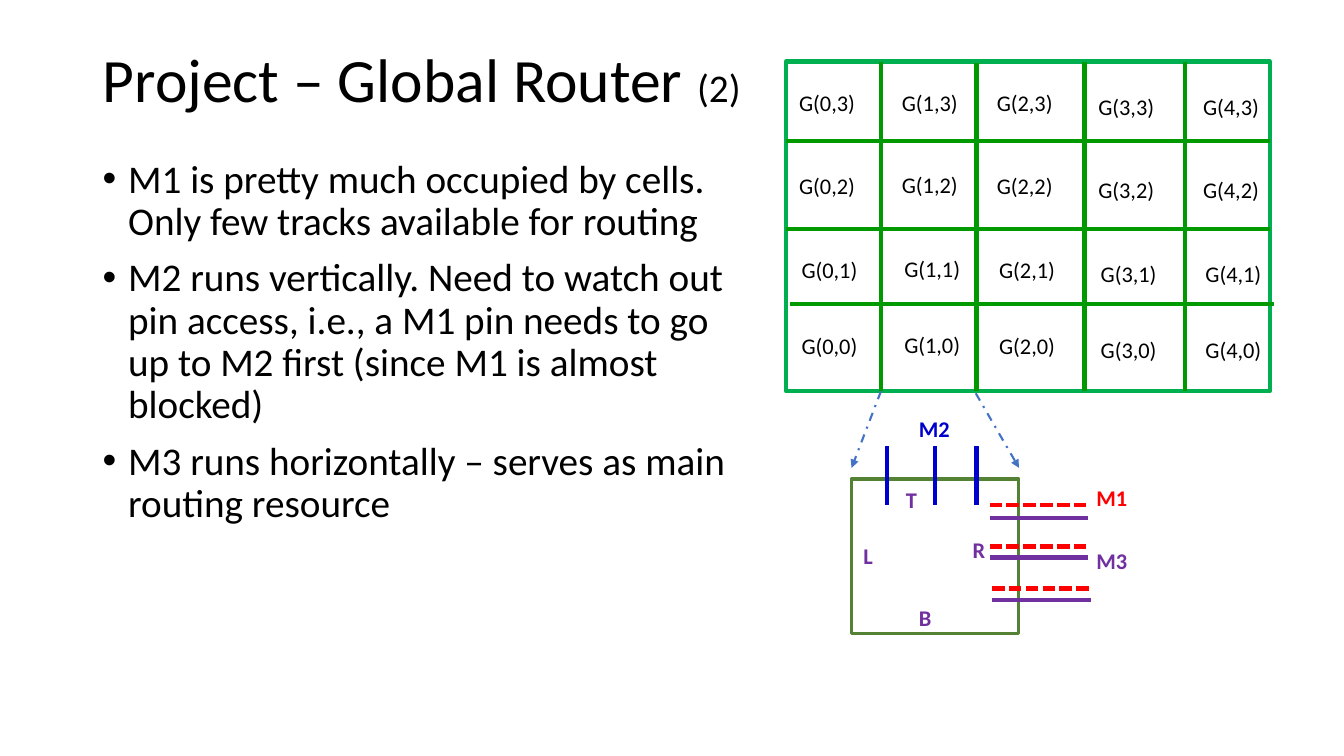
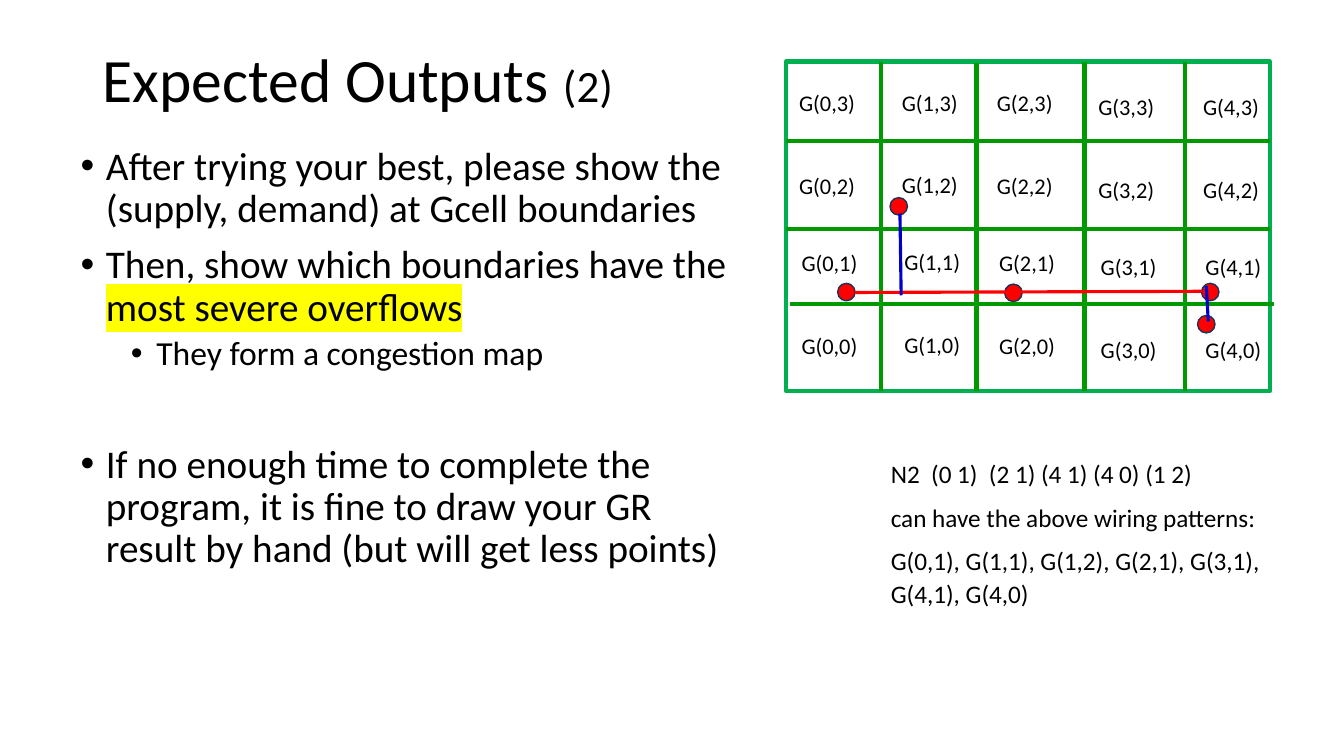
import dataclasses

import pptx
import pptx.util
import pptx.dml.color
import pptx.enum.dml
import pptx.enum.shapes
import pptx.enum.text
import pptx.oxml
import pptx.oxml.ns

Cm = pptx.util.Cm
Pt = pptx.util.Pt
Dash = pptx.enum.dml.MSO_LINE
Form = pptx.enum.shapes.MSO_SHAPE
Fit = pptx.enum.text.MSO_AUTO_SIZE
Anchor = pptx.enum.text.MSO_ANCHOR


@dataclasses.dataclass(frozen=True)
class Theme:
    font: str = "Calibri"
    black: str = "000000"
    frame: str = "00B050"
    grid: str = "009900"
    cell: str = "548235"
    red: str = "FF0000"
    blue: str = "0000CC"
    violet: str = "7030A0"
    arrow: str = "4472C4"
    rim: str = "1E3256"
    mark: str = "FFFF00"
    title: int = 44
    body: int = 28
    sub: int = 24
    note: int = 18
    label: int = 16
    thick: float = 3
    wire: float = 2.25
    thin: float = 1.5
    hair: float = 1


LOOK = Theme()


def apply(target, values):
    for name, value in values.items():
        setattr(target, name, value)


def paint(part, tint):
    part.rgb = pptx.dml.color.RGBColor.from_string(tint)


def add_xml(parent, tag, **values):
    node = pptx.oxml.parse_xml(f"<a:{tag} {pptx.oxml.ns.nsdecls('a')}/>")
    for name, value in values.items():
        node.set(name, str(value))
    parent.append(node)
    return node


def add_run(para, text, size, tint=LOOK.black, bold=False, mark=None):
    run = para.add_run()
    run.text = text
    apply(run.font, {"name": LOOK.font, "size": Pt(size), "bold": bold})
    paint(run.font.color, tint)
    if mark:
        props = run.font._element
        light = add_xml(props, "highlight")
        add_xml(light, "srgbClr", val=mark)
        props.find(pptx.oxml.ns.qn("a:solidFill")).addnext(light)


def add_box(slide, left, top, width, height, **style):
    box = slide.shapes.add_textbox(Cm(left), Cm(top), Cm(width), Cm(height))
    frame = box.text_frame
    apply(frame, {"word_wrap": True, **style})
    return frame


def add_para(frame, first, **style):
    para = frame.paragraphs[0] if first else frame.add_paragraph()
    apply(para, style)
    return para


def add_label(slide, text, left, top, width=1.96, **style):
    frame = add_box(slide, left, top, width, 0.94, auto_size=Fit.SHAPE_TO_FIT_TEXT)
    add_run(frame.paragraphs[0], text, LOOK.label, **style)


def add_list(slide, left, top, width, height, items):
    frame = add_box(slide, left, top, width, height)
    for index, (level, gap, runs) in enumerate(items):
        para = add_para(frame, index == 0, level=level, line_spacing=0.9,
                        space_before=Pt(gap))
        props = para._p.get_or_add_pPr()
        props.set("marL", str(Cm(0.64 + 1.27 * level)))
        props.set("indent", str(-Cm(0.64)))
        add_xml(props, "buFont", typeface="Arial")
        add_xml(props, "buChar", char="•")
        for text, mark in runs:
            add_run(para, text, LOOK.sub if level else LOOK.body, mark=mark)


def add_shape(slide, form, left, top, width, height, tint, weight, fill=None):
    shape = slide.shapes.add_shape(form, Cm(left), Cm(top), Cm(width), Cm(height))
    shape.shadow.inherit = False
    if fill:
        shape.fill.solid()
        paint(shape.fill.fore_color, fill)
    else:
        shape.fill.background()
    paint(shape.line.color, tint)
    shape.line.width = Pt(weight)


def add_line(slide, start, end, tint, weight=LOOK.thick, dash=None, tip=False):
    kind = pptx.enum.shapes.MSO_CONNECTOR.STRAIGHT
    line = slide.shapes.add_connector(kind, *map(Cm, start + end))
    paint(line.line.color, tint)
    apply(line.line, {"width": Pt(weight), "dash_style": dash})
    if tip:
        add_xml(line.line._ln, "tailEnd", type="triangle")
    add_xml(line._element.spPr, "effectLst")


def add_dot(slide, left, top):
    add_shape(slide, Form.OVAL, left, top, 0.44, 0.44, LOOK.rim, LOOK.hair, LOOK.red)


def add_grid(slide, drops):
    left, top, right, base = 19.81, 1.55, 32, 9.86
    add_shape(slide, Form.RECTANGLE, left, top, right - left, base - top,
              LOOK.frame, LOOK.thick)
    for y, shift in ((3.56, 0), (5.77, 0), (7.67, 0.11)):
        add_line(slide, (left + shift, y), (right + shift, y), LOOK.grid)
    for x, shift in ((22.2, 0), (24.61, 0.05), (27.33, 0), (29.87, 0)):
        add_line(slide, (x, top + shift), (x, base), LOOK.grid)
    cols = ((19.89, 0), (22.48, -0.02), (24.87, 0), (27.43, 0.1), (30.07, 0.1))
    for row, drop in enumerate(drops):
        for col, (x, shift) in enumerate(cols):
            nudge = 0.06 if row < 2 else 0
            add_label(slide, f"G({col},{row})", x + nudge, drop + shift)


def add_slide(deck, title, size, drops):
    slide = deck.slides.add_slide(deck.slide_layouts[6])
    frame = add_box(slide, 2.34, 1.02, 29.2, 2.12, vertical_anchor=Anchor.MIDDLE)
    para = add_para(frame, True, line_spacing=0.9)
    add_run(para, title, LOOK.title)
    add_run(para, "(2)", size)
    add_grid(slide, drops)
    return slide


def add_cell(slide):
    add_shape(slide, Form.RECTANGLE, 21.46, 12.07, 4.22, 3.89, LOOK.cell, LOOK.wire)
    for x, solid, dashed in ((24.94, 13.06, 12.73), (24.94, 14.05, 13.77),
                             (25, 15.11, 14.83)):
        add_line(slide, (x, solid), (x + 2.49, solid), LOOK.violet)
        add_line(slide, (x, dashed), (x + 2.49, dashed), LOOK.red,
                 dash=Dash.SQUARE_DOT)
    for start, end in (((22.2, 9.86), (21.46, 11.79)), ((24.59, 9.91), (25.68, 11.79))):
        add_line(slide, start, end, LOOK.arrow, LOOK.thin, Dash.DASH_DOT, True)
    for x in (22.35, 23.57, 24.61):
        add_line(slide, (x, 12.73), (x, 11.23), LOOK.blue)
    for text, left, top, width, tint in (
        ("M1", 27.38, 12.07, 1.52, LOOK.red),
        ("M3", 27.38, 13.67, 1.52, LOOK.violet),
        ("M2", 22.91, 10.34, 1.52, LOOK.blue),
        ("L", 21.51, 13.54, 0.54, LOOK.violet),
        ("B", 22.91, 15.11, 0.54, LOOK.violet),
        ("R", 24.26, 13.39, 0.81, LOOK.violet),
        ("T", 22.58, 12.12, 0.54, LOOK.violet),
    ):
        add_label(slide, text, left, top, width, tint=tint, bold=True)


def add_net(slide):
    for left, top in ((21.11, 7.14), (25.32, 7.16), (30.28, 7.14), (30.18, 7.95)):
        add_dot(slide, left, top)
    add_line(slide, (21.54, 7.37), (30.28, 7.34), LOOK.red, LOOK.wire)
    add_line(slide, (30.4, 7.21), (30.45, 8.1), LOOK.blue, LOOK.wire)
    add_dot(slide, 22.43, 4.98)
    add_line(slide, (22.68, 5.38), (22.71, 7.44), LOOK.blue, LOOK.wire)


def add_note(slide, lines):
    frame = add_box(slide, 22.2, 11.38, 10.59, 4.09, auto_size=Fit.SHAPE_TO_FIT_TEXT)
    for index, text in enumerate(lines):
        para = add_para(frame, index == 0, line_spacing=1.07, space_after=Pt(8))
        add_run(para, text, LOOK.note)


def add_router(deck):
    slide = add_slide(deck, "Project – Global Router ", 28, (8.25, 6.32, 4.22, 2.13))
    add_list(slide, 2.34, 3.89, 16.33, 13.28, [
        (0, 10, [("M1 is pretty much occupied by cells. Only few tracks "
                  "available for routing", None)]),
        (0, 10, [("M2 runs vertically. Need to watch out pin access, i.e., a M1 pin "
                  "needs to go up to M2 first (since M1 is almost blocked)", None)]),
        (0, 10, [("M3 runs horizontally – serves as main routing resource", None)]),
    ])
    add_cell(slide)


def add_output(deck):
    slide = add_slide(deck, "Expected Outputs ", 32, (8.25, 6.15, 4.22, 2.13))
    add_list(slide, 1.78, 3.56, 17.32, 13.59, [
        (0, 10, [("After trying your best, please show the (supply, demand) at "
                  "Gcell boundaries", None)]),
        (0, 10, [("Then, show which boundaries have the ", None),
                 ("most severe overflows", LOOK.mark)]),
        (1, 5, [("They form a congestion map", None)]),
        (0, 51, [("If no enough time to complete the program, it is fine to draw your "
                  "GR result by hand (but will get less points)", None)]),
    ])
    add_note(slide, (
        "N2  (0 1)  (2 1) (4 1) (4 0) (1 2)",
        "can have the above wiring patterns:",
        "G(0,1), G(1,1), G(1,2), G(2,1), G(3,1), G(4,1), G(4,0)",
    ))
    add_net(slide)


def main():
    deck = pptx.Presentation()
    apply(deck, {"slide_width": Cm(33.87), "slide_height": Cm(19.05)})
    add_router(deck)
    add_output(deck)
    deck.save("out.pptx")


if __name__ == "__main__":
    main()
